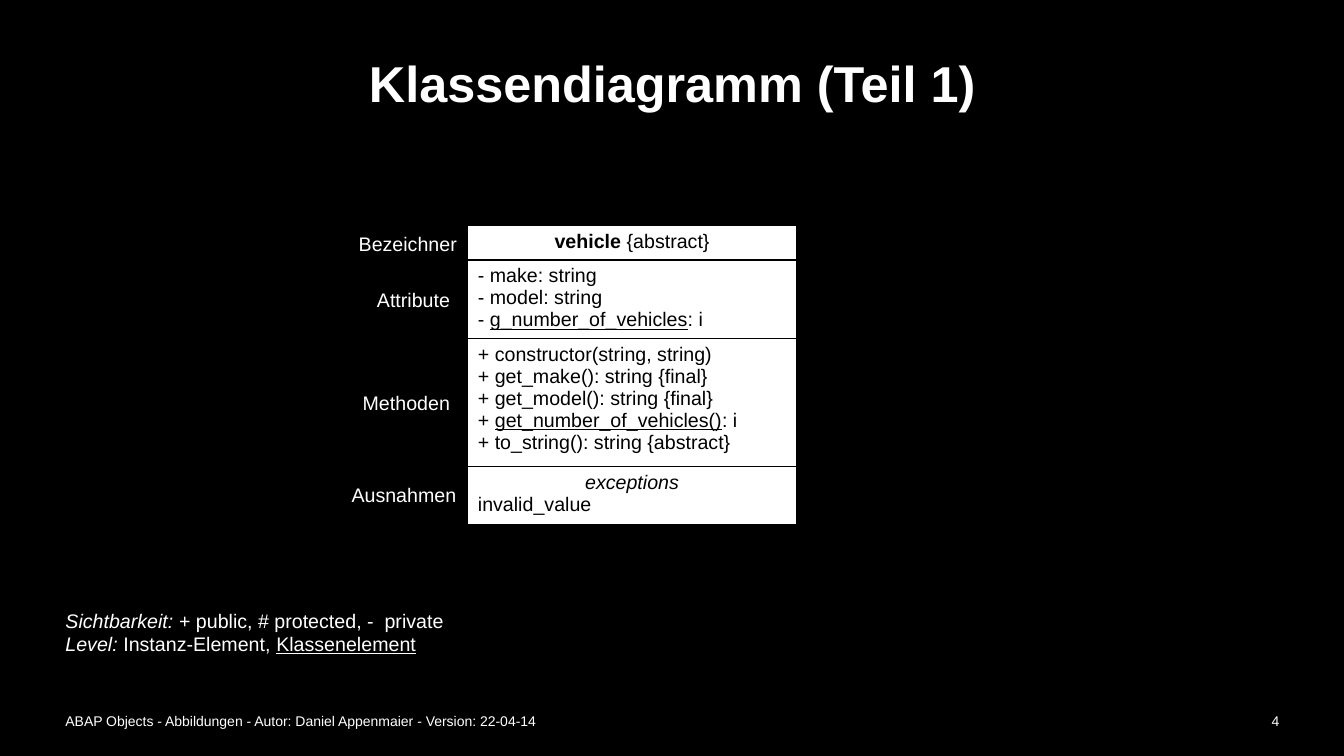
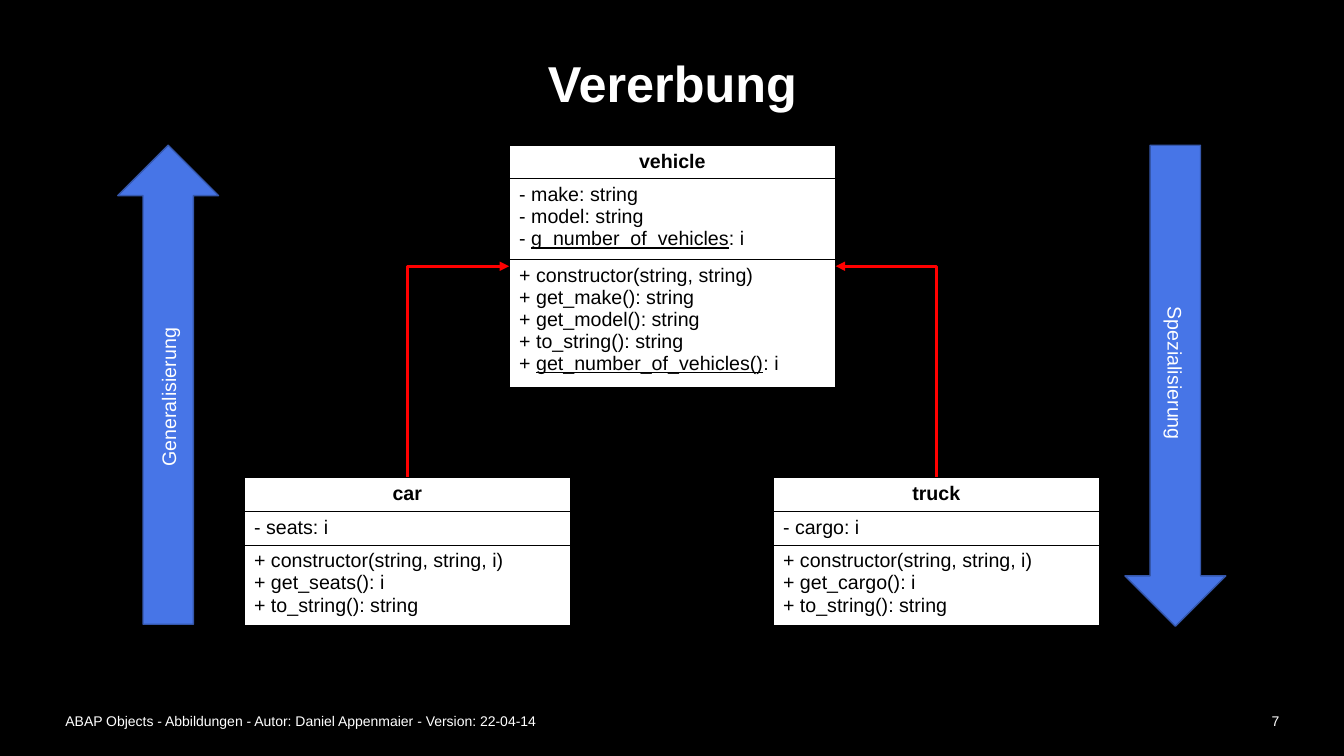
from lxml.etree import SubElement
from pptx import Presentation
from pptx.dml.color import RGBColor
from pptx.enum.shapes import MSO_CONNECTOR, MSO_SHAPE
from pptx.enum.text import MSO_ANCHOR, PP_ALIGN
from pptx.oxml.ns import qn
from pptx.util import Cm, Pt

INK = {"black": "000000", "white": "FFFFFF", "blue": "4775E7",
       "edge": "3557AB", "red": "FF0000"}
FOOT = "ABAP Objects - Abbildungen - Autor: Daniel Appenmaier - Version: 22-04-14"
LEFT, WIDE = 1.4, 31.09
CENTER, RIGHT = PP_ALIGN.CENTER, PP_ALIGN.RIGHT


def rgb(name):
    """Return a palette colour."""
    return RGBColor.from_string(INK[name])


def write(frame, lines, size=14, ink="white", align=None, style="",
          leading=None, before=None):
    """Write lines into a frame; a line is a string or (text, style) runs.

    Styles combine the letters b, i, u; c centres the line.
    """
    for n, line in enumerate(lines):
        para = frame.add_paragraph() if n else frame.paragraphs[0]
        runs = [(line, style)] if isinstance(line, str) else line
        para.alignment = CENTER if "c" in runs[0][1] else align
        if leading:
            para.line_spacing = leading
        if before:
            para.space_before = Pt(before)
        for text, marks in runs:
            run = para.add_run()
            run.text = text
            font = run.font
            font.name, font.size = "Arial", Pt(size)
            font.color.rgb = rgb(ink)
            font.bold, font.italic = "b" in marks, "i" in marks
            font.underline = "u" in marks


def tall(lines):
    """Return the height in cm of a cell with these lines."""
    return 0.56 * len(lines) + 0.25


def border(cell):
    """Draw thin black lines around a cell."""
    props = cell._tc.get_or_add_tcPr()
    for n, side in enumerate(("lnL", "lnR", "lnT", "lnB")):
        line = props.makeelement(qn("a:" + side), {"w": str(Pt(1))})
        solid = SubElement(line, qn("a:solidFill"))
        SubElement(solid, qn("a:srgbClr"), val=INK["black"])
        props.insert(n, line)


class Deck:
    """The shared style and the current slide."""

    def __init__(self):
        """Start an empty wide deck."""
        self.file = Presentation()
        self.file.slide_width, self.file.slide_height = Cm(33.87), Cm(19.05)
        self.slide = None

    def page(self, title, number):
        """Add a black slide with title and footer."""
        self.slide = self.file.slides.add_slide(self.file.slide_layouts[6])
        back = self.slide.background.fill
        back.solid()
        back.fore_color.rgb = rgb("black")
        mid = MSO_ANCHOR.MIDDLE
        self.text([title], LEFT, 0.64, WIDE, 3.05, anchor=mid, size=36,
                  style="b", align=CENTER, leading=0.9)
        self.text([FOOT], LEFT, 17.65, 29.06, 1.02, anchor=mid, size=10)
        self.text([str(number)], 30.46, 17.65, 2.03, 1.02, anchor=mid,
                  size=10, align=RIGHT)

    def text(self, lines, x, y, w, h, anchor=MSO_ANCHOR.TOP, wrap=True, **form):
        """Add a text box."""
        frame = self.slide.shapes.add_textbox(Cm(x), Cm(y), Cm(w), Cm(h)).text_frame
        frame.word_wrap, frame.vertical_anchor = wrap, anchor
        write(frame, lines, **form)

    def table(self, cells, x, y, w, highs=None):
        """Add a one-column table with one cell per list of lines."""
        highs = highs or [tall(lines) for lines in cells]
        grid = self.slide.shapes.add_table(
            len(cells), 1, Cm(x), Cm(y), Cm(w), Cm(sum(highs))).table
        grid.first_row = grid.horz_banding = False
        for n, (lines, high) in enumerate(zip(cells, highs)):
            grid.rows[n].height = Cm(high)
            cell = grid.cell(n, 0)
            cell.fill.solid()
            cell.fill.fore_color.rgb = rgb("white")
            border(cell)
            write(cell.text_frame, lines, ink="black")

    def arrow(self, label, x, y, h, turn=0):
        """Add a block arrow with a vertical label."""
        shape = self.slide.shapes.add_shape(
            MSO_SHAPE.UP_ARROW, Cm(x), Cm(y), Cm(2.54), Cm(h))
        shape.rotation = turn
        shape.shadow.inherit = False
        shape.fill.solid()
        shape.fill.fore_color.rgb = rgb("blue")
        shape.line.color.rgb = rgb("edge")
        shape.line.width = Pt(1)
        frame = shape.text_frame
        frame.vertical_anchor = MSO_ANCHOR.MIDDLE
        frame._txBody.bodyPr.set("vert", "vert270")
        write(frame, [label], align=CENTER, before=3)

    def link(self, x1, y1, x2, y2):
        """Add a red arrow that rises from the start, then turns sideways."""
        side = 1 if x2 > x1 else -1
        mx, my = (x1 + x2) / 2, (y1 + y2) / 2
        dx, dy = side * (y1 - y2) / 2, abs(x2 - x1) / 2
        line = self.slide.shapes.add_connector(
            MSO_CONNECTOR.ELBOW, Cm(mx + dx), Cm(my + dy), Cm(mx - dx), Cm(my - dy))
        line.line.color.rgb = rgb("red")
        line.line.width = Pt(2.25)
        props = line._element.spPr
        props.find(qn("a:xfrm")).set("rot", str((90 if side > 0 else 270) * 60000))
        props.find(qn("a:prstGeom")).set("prst", "bentConnector2")
        SubElement(props.find(qn("a:ln")), qn("a:tailEnd"), type="triangle")
        SubElement(props, qn("a:effectLst"))


deck = Deck()
fields = ["- make: string", "- model: string",
          [("- ", ""), ("g_number_of_vehicles", "u"), (": i", "")]]
count = [("+ ", ""), ("get_number_of_vehicles()", "u"), (": i", "")]
build = "+ constructor(string, string)"

# Class diagram
deck.page("Klassendiagramm (Teil 1)", 4)
parts = [
    (5.69, 0.84, [[("vehicle ", "bc"), ("{abstract}", "")]]),
    (6.55, 2.03, fields),
    (8.53, 3.23, [build, "+ get_make(): string {final}",
                  "+ get_model(): string {final}", count,
                  "+ to_string(): string {abstract}"]),
    (11.76, 1.45, [[("exceptions", "ic")], "invalid_value"]),
]
for y, high, lines in parts:
    deck.table([lines], 11.79, y, 8.28, [high])
for name, x, y, w in [("Bezeichner", 8.79, 5.71, 3), ("Attribute", 9.25, 7.14, 2.36),
                      ("Methoden", 8.89, 9.73, 2.72), ("Ausnahmen", 8.61, 12.04, 3.18)]:
    deck.text([name], x, y, w, 0.86, wrap=False)
deck.text([[("Sichtbarkeit: ", "i"), ("+ public, # protected, -  private", "")],
           [("Level: ", "i"), ("Instanz-Element, ", ""), ("Klassenelement", "u")]],
          LEFT, 15.21, 10.08, 1.45, wrap=False)

# Inheritance
deck.page("Vererbung", 7)
top, low, wide, base, turn = 3.66, 12.04, 8.23, 12.83, 6.71
deck.table([[[("vehicle", "bc")]], fields,
            [build, "+ get_make(): string", "+ get_model(): string",
             "+ to_string(): string", count]], base, top, wide)
for name, field, x, end in [("car", "seats", 6.15, base),
                            ("truck", "cargo", 19.48, base + wide)]:
    deck.link(x + wide / 2, low, end, turn)
    deck.table([[[(name, "bc")]], [f"- {field}: i"],
                ["+ constructor(string, string, i)", f"+ get_{field}(): i",
                 "+ to_string(): string"]], x, low, wide)
deck.arrow("Generalisierung", 2.97, top, 12.07)
deck.arrow("Spezialisierung", 28.35, top, 12.12, turn=180)

deck.file.save("out.pptx")
